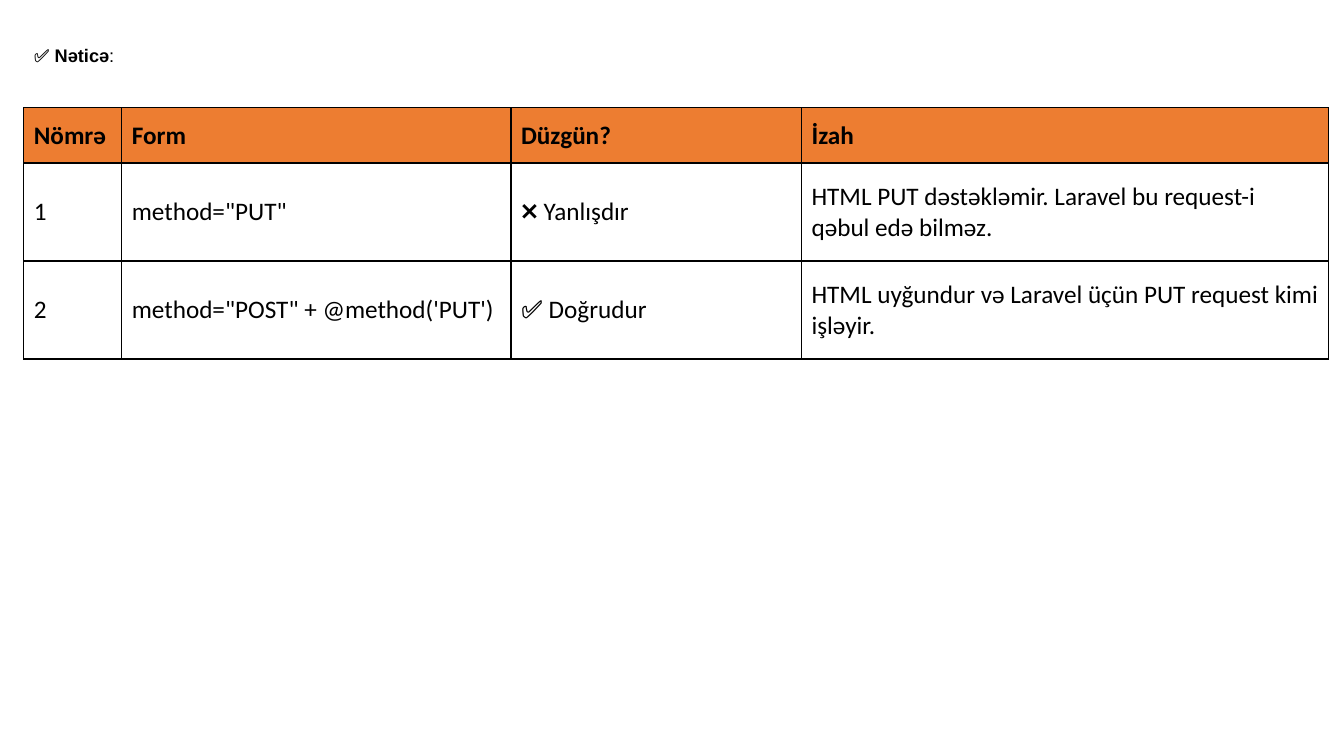
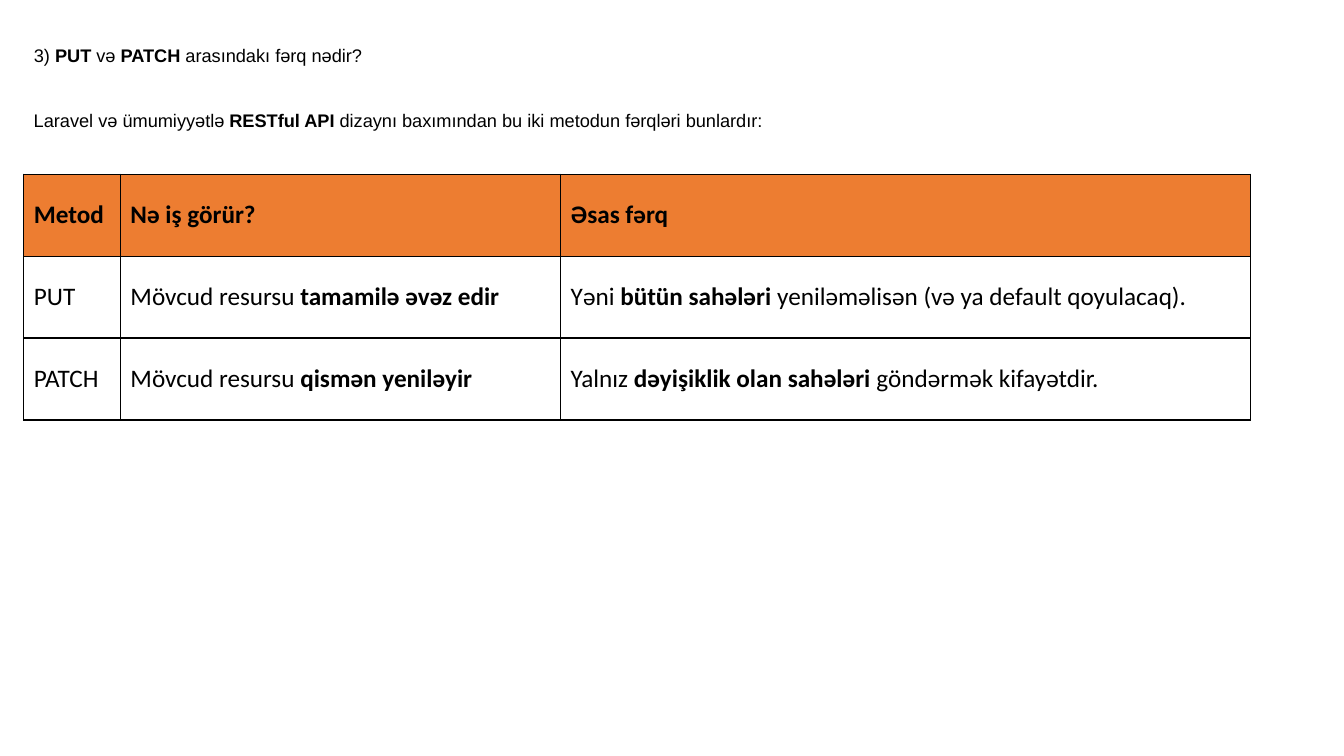
from dataclasses import dataclass

from pptx import Presentation
from pptx.dml.color import RGBColor
from pptx.enum.text import MSO_ANCHOR as Anchor, MSO_AUTO_SIZE as AutoSize, PP_ALIGN as Align
from pptx.oxml.xmlchemy import OxmlElement
from pptx.slide import Slide
from pptx.text.text import TextFrame, _Paragraph as Paragraph
from pptx.util import Pt

# Shared look, lengths in points
BLACK, ORANGE = "000000", "ED7D31"
HEADING_FONT, TABLE_FONT = "Arial", "Calibri"
HEADING_SIZE, TABLE_SIZE = 13, 18
LEFT, HEADING_TOP, HEADING_WIDTH, HEADING_HEIGHT = 17, 20, 926, 28
INTRO_TOP = 66.5
BORDER_SIDES = ("a:lnL", "a:lnR", "a:lnT", "a:lnB")
TITLE_ONLY = 5


@dataclass
class Comparison:
    """One slide; **double stars** mark bold wording."""
    heading: str
    intro: str
    top: float
    widths: list[float]
    heights: list[float]
    rows: list[list[str]]


COMPARISONS = [
    Comparison(
        heading="✅ **Nəticə**:",
        intro="",
        top=77,
        widths=[70, 278, 207.5, 376.5],
        heights=[39.5, 70, 70],
        rows=[
            ["**Nömrə**", "**Form**", "**Düzgün?**", "**İzah**"],
            ["1", 'method="PUT"', "❌ Yanlışdır",
             "HTML PUT dəstəkləmir. Laravel bu request-i qəbul edə bilməz."],
            ["2", "method=\"POST\" + @method('PUT')", "✅ Doğrudur",
             "HTML uyğundur və Laravel üçün PUT request kimi işləyir."],
        ],
    ),
    Comparison(
        heading="3) **PUT** və **PATCH** arasındakı fərq nədir?",
        intro="Laravel və ümumiyyətlə **RESTful API** dizaynı baxımından "
              "bu iki metodun fərqləri bunlardır:",
        top=124.5,
        widths=[69, 314.5, 493],
        heights=[58.5] * 3,
        rows=[
            ["**Metod**", "**Nə iş görür?**", "**Əsas fərq**"],
            ["PUT", "Mövcud resursu **tamamilə əvəz edir**",
             "Yəni **bütün sahələri** yeniləməlisən (və ya default qoyulacaq)."],
            ["PATCH", "Mövcud resursu **qismən yeniləyir**",
             "Yalnız **dəyişiklik olan sahələri** göndərmək kifayətdir."],
        ],
    ),
]


def color(value: str) -> RGBColor:
    return RGBColor.from_string(value)


def write_rich(paragraph: Paragraph, wording: str, font_name: str, size: float) -> None:
    """Write the wording, with every part between double stars in bold."""
    paragraph.alignment = Align.LEFT
    for position, part in enumerate(wording.split("**")):
        if not part:
            continue
        run = paragraph.add_run()
        run.text = part
        run.font.name = font_name
        run.font.size = Pt(size)
        run.font.bold = position % 2 == 1
        run.font.color.rgb = color(BLACK)


def write_heading(frame: TextFrame, wording: str) -> None:
    frame.word_wrap = True
    frame.auto_size = AutoSize.NONE
    frame.vertical_anchor = Anchor.TOP
    line = frame.paragraphs[0]
    line.line_spacing = 1.5
    write_rich(line, wording, HEADING_FONT, HEADING_SIZE)


def add_borders(cell, line_color: str, width: float) -> None:
    properties = cell._tc.get_or_add_tcPr()
    for side in BORDER_SIDES:
        border = OxmlElement(side)
        border.set("w", str(Pt(width)))
        fill = OxmlElement("a:solidFill")
        rgb = OxmlElement("a:srgbClr")
        rgb.set("val", line_color)
        fill.append(rgb)
        border.append(fill)
        properties.append(border)


def add_comparison_table(slide: Slide, content: Comparison) -> None:
    table = slide.shapes.add_table(
        len(content.rows), len(content.widths), Pt(LEFT), Pt(content.top),
        Pt(sum(content.widths)), Pt(sum(content.heights))).table
    table.horz_banding = False
    for column, width in zip(table.columns, content.widths):
        column.width = Pt(width)
    for row, height in zip(table.rows, content.heights):
        row.height = Pt(height)
    for row_index, wordings in enumerate(content.rows):
        for column_index, wording in enumerate(wordings):
            cell = table.cell(row_index, column_index)
            cell.vertical_anchor = Anchor.MIDDLE
            add_borders(cell, BLACK, 1)
            if row_index == 0:
                cell.fill.solid()
                cell.fill.fore_color.rgb = color(ORANGE)
            else:
                cell.fill.background()
            write_rich(cell.text_frame.paragraphs[0], wording, TABLE_FONT, TABLE_SIZE)


def add_comparison_slide(deck, content: Comparison) -> None:
    slide = deck.slides.add_slide(deck.slide_layouts[TITLE_ONLY])

    # Heading
    title = slide.shapes.title
    title.left, title.top = Pt(LEFT), Pt(HEADING_TOP)
    title.width, title.height = Pt(HEADING_WIDTH), Pt(HEADING_HEIGHT)
    write_heading(title.text_frame, content.heading)

    # Introductory sentence
    if content.intro:
        intro = slide.shapes.add_textbox(
            Pt(LEFT), Pt(INTRO_TOP), Pt(HEADING_WIDTH), Pt(HEADING_HEIGHT))
        write_heading(intro.text_frame, content.intro)

    add_comparison_table(slide, content)


def main() -> None:
    deck = Presentation()
    deck.slide_width, deck.slide_height = Pt(960), Pt(540)
    for content in COMPARISONS:
        add_comparison_slide(deck, content)
    deck.save("out.pptx")


if __name__ == "__main__":
    main()
